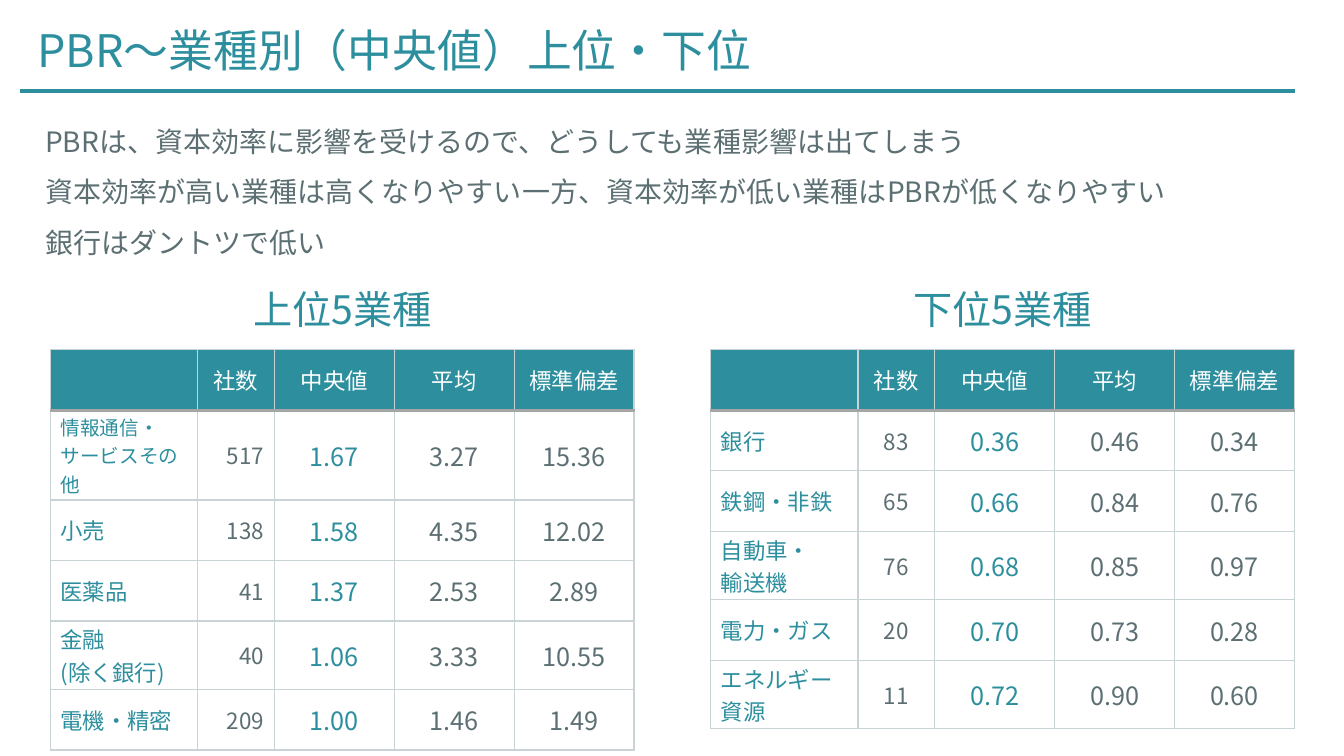
from lxml.etree import SubElement
from pptx import Presentation
from pptx.dml.color import RGBColor
from pptx.enum.text import MSO_ANCHOR, MSO_AUTO_SIZE, PP_ALIGN
from pptx.oxml.ns import qn
from pptx.util import Emu, Pt

FONT = "Noto Sans CJK JP"
TEAL, GRAY, WHITE = "2D8F9E", "5C6F73", "FFFFFF"
GRID, HEADER_RULE = ("C9D2D4", 1), ("A5A5A5", 2.25)
LEFT, CENTER, RIGHT = PP_ALIGN.LEFT, PP_ALIGN.CENTER, PP_ALIGN.RIGHT

HEADINGS = ["", "社数", "中央値", "平均", "標準偏差"]
COLUMN_WIDTHS = [146, 76, 119, 119, 119]
ONE_LINE, TWO_LINES, THREE_LINES = 60, 68, 89
TOP_HEIGHTS = [ONE_LINE, THREE_LINES, ONE_LINE, ONE_LINE, TWO_LINES, ONE_LINE]
BOTTOM_HEIGHTS = [ONE_LINE, ONE_LINE, ONE_LINE, TWO_LINES, ONE_LINE, TWO_LINES]
TOP_ROWS = [
    ["情報通信・\nサービスその他", "517", "1.67", "3.27", "15.36"],
    ["小売", "138", "1.58", "4.35", "12.02"],
    ["医薬品", "41", "1.37", "2.53", "2.89"],
    ["金融\n(除く銀行)", "40", "1.06", "3.33", "10.55"],
    ["電機・精密", "209", "1.00", "1.46", "1.49"],
]
BOTTOM_ROWS = [
    ["銀行", "83", "0.36", "0.46", "0.34"],
    ["鉄鋼・非鉄", "65", "0.66", "0.84", "0.76"],
    ["自動車・\n輸送機", "76", "0.68", "0.85", "0.97"],
    ["電力・ガス", "20", "0.70", "0.73", "0.28"],
    ["エネルギー\n資源", "11", "0.72", "0.90", "0.60"],
]
REMARKS = """PBRは、資本効率に影響を受けるので、どうしても業種影響は出てしまう
資本効率が高い業種は高くなりやすい一方、資本効率が低い業種はPBRが低くなりやすい
銀行はダントツで低い"""


def px(length):
    """Convert px, 100 to the inch, to EMU."""
    return Emu(length * 9144)


def color(value):
    return RGBColor.from_string(value)


def set_all(target, values):
    for name, value in values.items():
        setattr(target, name, value)


def write(frame, text, size, ink, align=LEFT, spacing=None):
    """Fill a text frame, one paragraph for each line of text."""
    frame.text = text
    for para in frame.paragraphs:
        set_all(para, {"alignment": align, "line_spacing": spacing})
        for span in para.runs:
            set_all(span.font, {"size": Pt(size), "name": FONT, "bold": False})
            span.font.color.rgb = color(ink)
            SubElement(span.font._element, qn("a:ea"), typeface=FONT)


def place_text(slide, box, text, size, ink, align=LEFT, spacing=None):
    frame = slide.shapes.add_textbox(*map(px, box)).text_frame
    frame.word_wrap = True
    write(frame, text, size, ink, align, spacing)


def place_title(slide, box, text):
    title = slide.shapes.title
    set_all(title, dict(zip(("left", "top", "width", "height"), map(px, box))))
    set_all(title.text_frame, {"vertical_anchor": MSO_ANCHOR.TOP, "word_wrap": True,
                               "auto_size": MSO_AUTO_SIZE.NONE})
    write(title.text_frame, text, 32, TEAL)


def place_rule(slide, left, top, width):
    rule = slide.shapes.add_connector(1, px(left), px(top), px(left + width), px(top))
    rule.line.color.rgb = color(TEAL)
    rule.line.width = Pt(3)
    SubElement(rule._element.spPr, qn("a:effectLst"))


def set_borders(cell, top, bottom):
    properties = cell._tc.get_or_add_tcPr()
    for side, (ink, width) in zip("LRTB", (GRID, GRID, top, bottom)):
        line = SubElement(properties, qn(f"a:ln{side}"), w=str(Pt(width)))
        fill = SubElement(line, qn("a:solidFill"))
        SubElement(fill, qn("a:srgbClr"), val=ink)


def format_header_cell(cell, text):
    set_borders(cell, GRID, HEADER_RULE)
    cell.fill.solid()
    cell.fill.fore_color.rgb = color(TEAL)
    cell.vertical_anchor = MSO_ANCHOR.MIDDLE
    write(cell.text_frame, text, 16, WHITE, CENTER)


def format_body_cell(cell, text, column, below_header, count_align):
    set_borders(cell, HEADER_RULE if below_header else GRID, GRID)
    cell.fill.background()
    set_all(cell, {"vertical_anchor": MSO_ANCHOR.MIDDLE, "margin_left": px(10),
                   "margin_right": px(10), "margin_top": px(2), "margin_bottom": px(2)})
    size = 18 if column > 1 else 16
    if len(text.replace("\n", "")) > 10:
        size = 14
    align = {0: LEFT, 1: count_align}.get(column, CENTER)
    write(cell.text_frame, text, size, TEAL if column in (0, 2) else GRAY, align)


def place_ranking(slide, left, top, heading, rows, heights, count_align):
    """Place a heading with its industry table below."""
    width = sum(COLUMN_WIDTHS)
    place_text(slide, (left, top, width, 57), heading, 28, TEAL, CENTER)
    box = (left, top + 69, width, sum(heights))
    table = slide.shapes.add_table(len(heights), len(HEADINGS), *map(px, box)).table
    set_all(table, {"first_row": False, "horz_banding": False})
    for column, column_width in zip(table.columns, COLUMN_WIDTHS):
        column.width = px(column_width)
    for row, height in zip(table.rows, heights):
        row.height = px(height)
    for column, text in enumerate(HEADINGS):
        format_header_cell(table.cell(0, column), text)
    for row, values in enumerate(rows, 1):
        for column, text in enumerate(values):
            format_body_cell(table.cell(row, column), text, column, row == 1, count_align)


def main():
    deck = Presentation()
    set_all(deck, {"slide_width": px(1333), "slide_height": px(750)})
    slide = deck.slides.add_slide(deck.slide_layouts.get_by_name("Title Only"))
    place_title(slide, (27, 18, 1010, 64), "PBR〜業種別（中央値）上位・下位")
    place_rule(slide, 20, 90, 1264)
    place_text(slide, (35, 102, 1263, 155), REMARKS, 20, GRAY, spacing=1.5)
    place_ranking(slide, 50, 278, "上位5業種", TOP_ROWS, TOP_HEIGHTS, RIGHT)
    place_ranking(slide, 705, 278, "下位5業種", BOTTOM_ROWS, BOTTOM_HEIGHTS, CENTER)
    deck.save("out.pptx")


if __name__ == "__main__":
    main()
